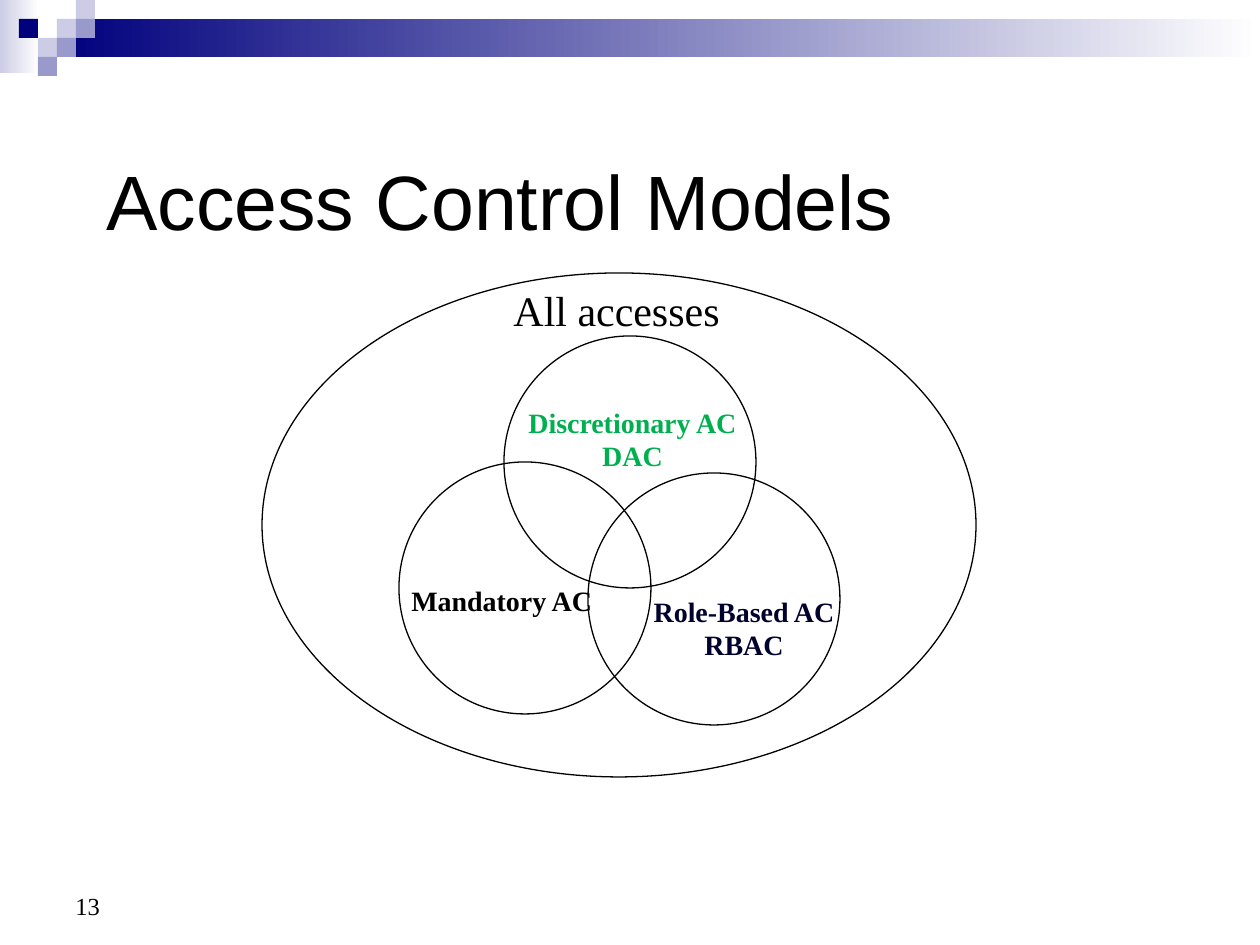
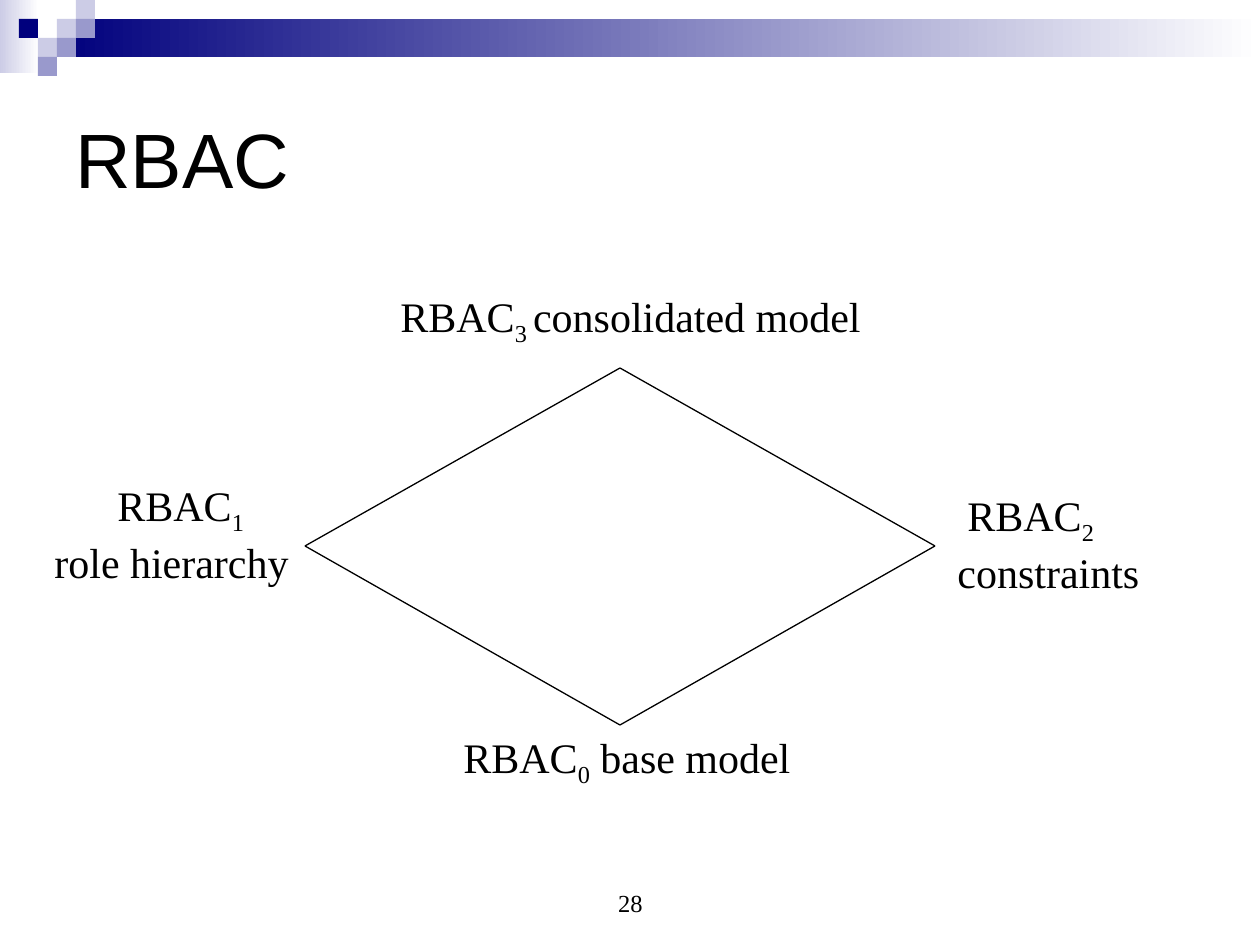
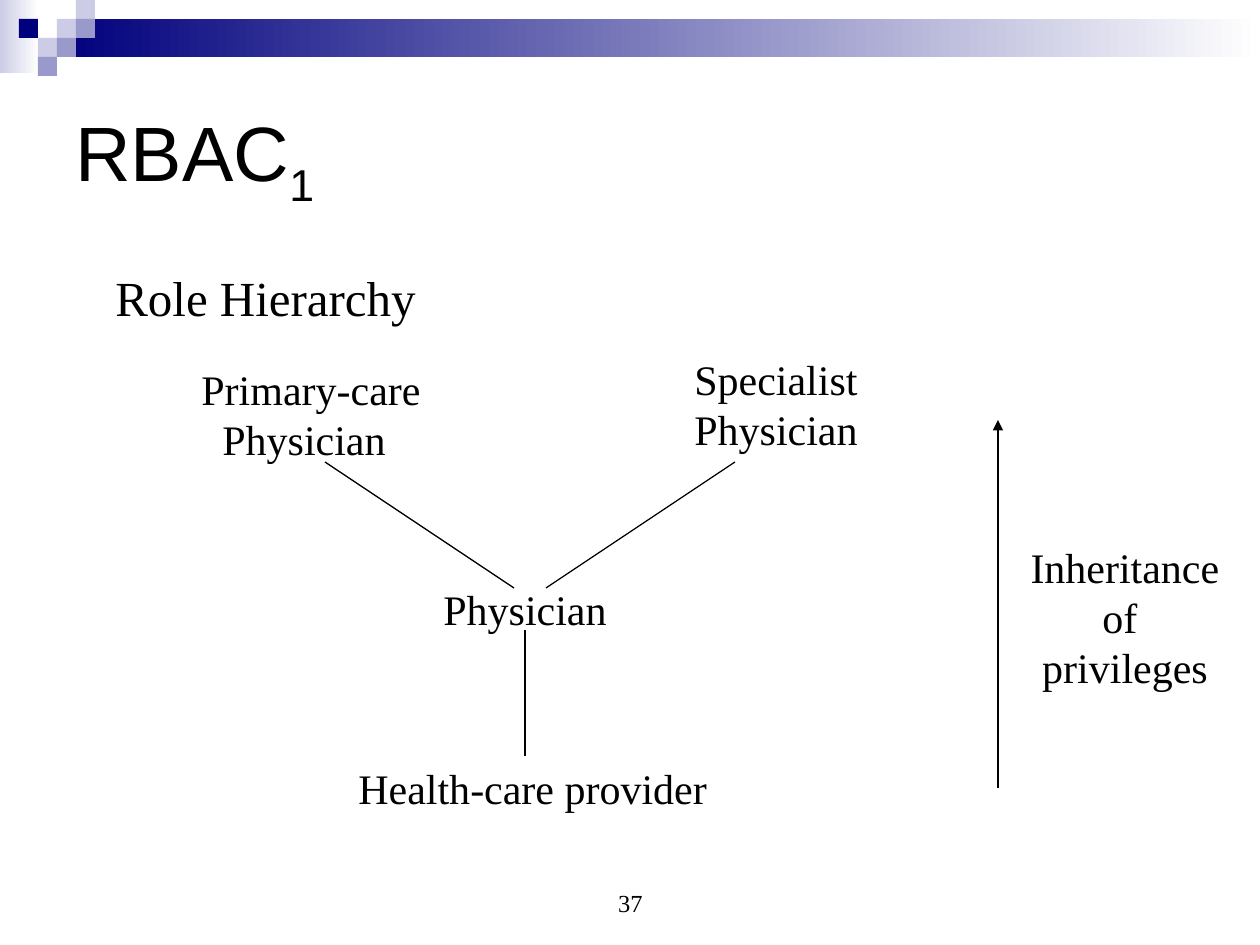
from lxml import etree
from pptx import Presentation
from pptx import util as u
from pptx.dml.color import RGBColor
from pptx.enum import shapes, text
from pptx.oxml.ns import qn

EMU_PER_PX = 914400 / 126
SERIF, SANS = "Times New Roman", "Arial"
BLACK, NAVY, LILAC, PALE, WHITE = "000000", "00007D", "9999CC", "CCCCE6", "FFFFFF"
GREEN, INK = "00B050", "00002E"
LEFT, CENTER = text.PP_ALIGN.LEFT, text.PP_ALIGN.CENTER
TOP, MIDDLE, BOTTOM = (text.MSO_ANCHOR.TOP, text.MSO_ANCHOR.MIDDLE,
                       text.MSO_ANCHOR.BOTTOM)

CELL = 19
MOSAIC = [  # column, row, colour
    (3, 1, PALE), (4, 0, PALE), (4, 1, LILAC), (2, 2, PALE),
    (1, 1, NAVY), (3, 2, LILAC), (2, 3, LILAC),
]


def px(*lengths):
    return [u.Emu(round(n * EMU_PER_PX)) for n in lengths]


def rgb(colour):
    return RGBColor.from_string(colour)


def add_block(slide, box, colour, fade_to=None):
    """Borderless rectangle, plain or fading from left to right."""
    block = slide.shapes.add_shape(shapes.MSO_SHAPE.RECTANGLE, *px(*box))
    block.shadow.inherit = False
    block.line.fill.background()
    if fade_to:
        block.fill.gradient()
        block.fill.gradient_angle = 0
        for stop, shade in zip(block.fill.gradient_stops, (colour, fade_to)):
            stop.color.rgb = rgb(shade)
    else:
        block.fill.solid()
        block.fill.fore_color.rgb = rgb(colour)


def add_ellipse(slide, box):
    ellipse = slide.shapes.add_shape(shapes.MSO_SHAPE.OVAL, *px(*box))
    ellipse.shadow.inherit = False
    ellipse.fill.background()
    ellipse.line.color.rgb = rgb(BLACK)
    ellipse.line.width = u.Pt(0.75)


def add_line(slide, start, end, arrow=False):
    line = slide.shapes.add_connector(shapes.MSO_CONNECTOR.STRAIGHT,
                                      *px(*start, *end))
    line.line.color.rgb = rgb(BLACK)
    line.line.width = u.Pt(0.75)
    properties = line._element.spPr
    if arrow:
        etree.SubElement(properties.find(qn("a:ln")), qn("a:tailEnd"),
                         type="triangle")
    etree.SubElement(properties, qn("a:effectLst"))


def add_text(slide, box, lines, size=24, font=SERIF, colour=BLACK, bold=False,
             align=LEFT, anchor=TOP, wrap=False, indents=()):
    """Write one paragraph per line; text between underscores is subscript."""
    label = slide.shapes.add_textbox(*px(*box))
    frame = label.text_frame
    frame.word_wrap = wrap
    frame.vertical_anchor = anchor
    frame.auto_size = (text.MSO_AUTO_SIZE.NONE if wrap
                       else text.MSO_AUTO_SIZE.SHAPE_TO_FIT_TEXT)
    for i, line in enumerate(lines):
        paragraph = frame.paragraphs[0] if i == 0 else frame.add_paragraph()
        paragraph.alignment = align
        if i < len(indents):
            paragraph._p.get_or_add_pPr().set("marL", str(px(indents[i])[0]))
        paragraph.font.size = u.Pt(size)
        paragraph.font.name = font
        paragraph.font.bold = bold
        paragraph.font.color.rgb = rgb(colour)
        for j, piece in enumerate(line.split("_")):
            if piece:
                run = paragraph.add_run()
                run.text = piece
                if j % 2:
                    run._r.get_or_add_rPr().set("baseline", "-25000")


def add_slide(deck, title, number, title_box=(63, 63, 1134, 189),
              number_box=(431, 861, 399, 63), number_align=CENTER):
    """Slide with the mosaic band, title and page number."""
    slide = deck.slides.add_slide(deck.slide_layouts[6])
    add_block(slide, (0, 0, 39, 73), PALE, WHITE)
    add_block(slide, (57, CELL, 1203, 2 * CELL), NAVY, WHITE)
    for column, row, colour in MOSAIC:
        add_block(slide, (column * CELL, row * CELL, CELL, CELL), colour)
    add_text(slide, number_box, [number], 14, align=number_align,
             anchor=BOTTOM, wrap=True)
    add_text(slide, title_box, [title], 44, SANS, anchor=MIDDLE, wrap=True)
    return slide


def add_models(deck):
    slide = add_slide(deck, "Access Control Models", "13", (94, 158, 1071, 83),
                      (63, 861, 294, 66), LEFT)
    add_ellipse(slide, (262, 273, 714, 504))
    for left, top in [(504, 336), (399, 462), (588, 473)]:
        add_ellipse(slide, (left, top, 252, 252))
    add_text(slide, (501, 278, 232, 63), ["All accesses"])
    for box, lines, colour, align in [
        ((514, 399, 237, 81), ["Discretionary AC", "DAC"], GREEN, CENTER),
        ((399, 577, 208, 47), ["Mandatory AC"], BLACK, LEFT),
        ((640, 588, 208, 81), ["Role-Based AC", "RBAC"], INK, CENTER),
    ]:
        add_text(slide, box, lines, 16, colour=colour, bold=True, align=align)


def add_rbac_family(deck):
    slide = add_slide(deck, "RBAC", "28")
    base, consolidated = (620, 725), (620, 368)
    for side in [(305, 546), (935, 546)]:
        add_line(slide, consolidated, side)
        add_line(slide, side, base)
    add_text(slide, (388, 284, 488, 63), ["RBAC_3 _consolidated model"])
    add_text(slide, (42, 473, 260, 113), ["RBAC_1_", "role hierarchy"],
             indents=[63])
    add_text(slide, (945, 483, 207, 113), ["RBAC_2_", "constraints"],
             indents=[10])
    add_text(slide, (451, 725, 354, 63), ["RBAC_0_ base model"])


def add_role_hierarchy(deck):
    slide = add_slide(deck, "RBAC_1_", "37")
    add_text(slide, (103, 261, 326, 72), ["Role Hierarchy"], 28)
    add_text(slide, (189, 357, 244, 113), ["Primary-care", "Physician"],
             indents=[0, 21])
    add_text(slide, (431, 577, 189, 63), ["Physician"])
    add_text(slide, (682, 347, 189, 113), ["Specialist", "Physician"])
    add_text(slide, (346, 756, 374, 63), ["Health-care provider"])
    add_line(slide, (525, 756), (525, 630))
    add_line(slide, (514, 588), (325, 462))
    add_line(slide, (546, 588), (735, 462))
    add_line(slide, (998, 788), (998, 420), arrow=True)
    add_text(slide, (1018, 535, 214, 164),
             ["Inheritance", "of ", "privileges"], align=CENTER)


def main():
    deck = Presentation()
    deck.slide_width, deck.slide_height = px(1260, 945)
    add_models(deck)
    add_rbac_family(deck)
    add_role_hierarchy(deck)
    deck.save("out.pptx")


if __name__ == "__main__":
    main()
